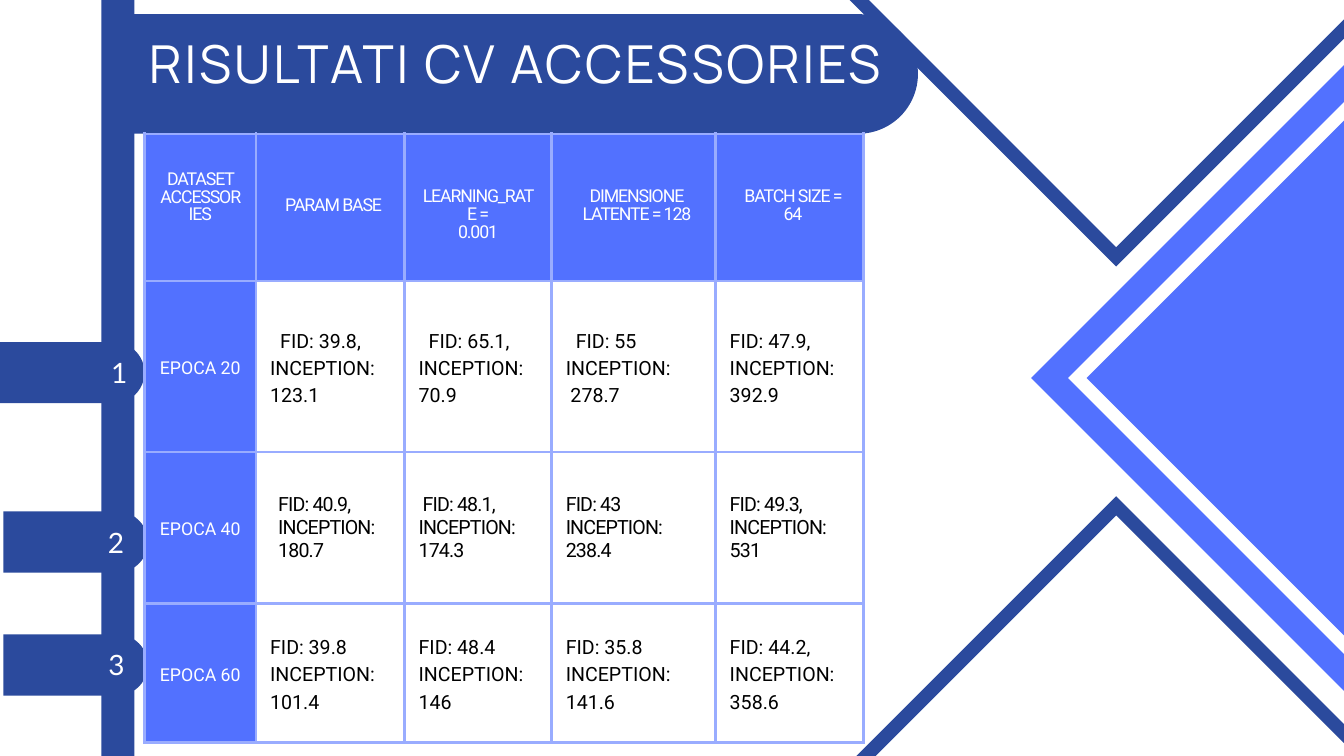
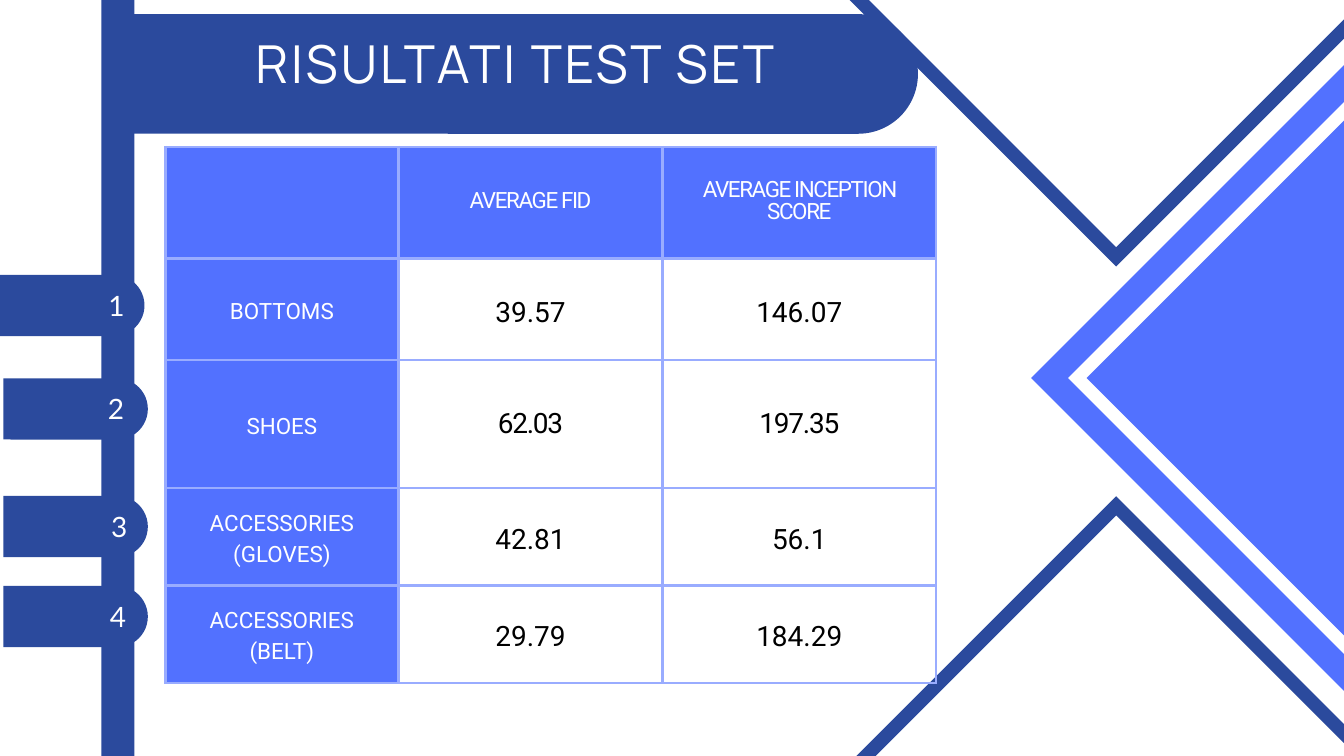
from dataclasses import dataclass

from lxml import etree
from pptx import Presentation
from pptx import util as u
from pptx.dml.color import RGBColor
from pptx.enum import shapes, text
from pptx.oxml import ns


@dataclass(frozen=True)
class Theme:
    navy: str = "2B4A9D"
    blue: str = "5271FF"
    edge: str = "99ACFF"
    white: str = "FFFFFF"
    black: str = "000000"
    title_font: str = "Manrope"
    table_font: str = "Roboto"
    number_font: str = "Lato"
    title_size: int = 56
    number_size: int = 30
    edge_width: int = 3
    cell_margin: float = 0.21


THEME = Theme()
WIDTH, HEIGHT = 20, 11.25
TAB_WIDTH, TAB_HEIGHT = 2.15, 0.91
TIGHT_ROW = 2

PAGES = [
    {
        "title": "RISULTATI CV ACCESSORIES",
        "tabs": [(0, 5.09, 1.51), (0.05, 7.61, 1.46), (0.05, 9.44, 1.47)],
        "corner": (2.15, 1.99),
        "columns": [1.66, 2.21, 2.19, 2.44, 2.2],
        "rows": [2.19, 2.55, 2.25, 2.07],
        "label_size": 19,
        "value_size": 21,
        "value_align": text.PP_ALIGN.LEFT,
        "cells": [
            [["DATASET ACCESSORIES"], ["PARAM BASE"], ["LEARNING_RATE =", "0.001"],
             ["DIMENSIONE", "LATENTE = 128"], ["BATCH SIZE = 64"]],
            [["EPOCA 20"], [("FID: 39.8,", 0.15), "INCEPTION: 123.1"],
             [("FID: 65.1, INCEPTION: 70.9", 0.15)],
             [("FID: 55 INCEPTION:", 0.15), ("278.7", 0.07)],
             ["FID: 47.9,", "INCEPTION: 392.9"]],
            [["EPOCA 40"], [("FID: 40.9,", 0.12), ("INCEPTION:", 0.12), ("180.7", 0.12)],
             [("FID: 48.1, INCEPTION: 174.3", 0.06)], ["FID: 43 INCEPTION: 238.4"],
             ["FID: 49.3,", "INCEPTION: 531"]],
            [["EPOCA 60"], ["FID: 39.8", "INCEPTION: 101.4"], ["FID: 48.4", "INCEPTION: 146"],
             ["FID: 35.8", "INCEPTION:", "141.6"], ["FID: 44.2, INCEPTION: 358.6"]],
        ],
        "extra_margins": {
            (0, 0): {"bottom": 0.26},
            (0, 1): {"left": 0.1},
            (0, 2): {"top": 0.26},
            (0, 3): {"left": 0.1},
            (0, 4): {"left": 0.1},
        },
    },
    {
        "title": "RISULTATI TEST SET",
        "tabs": [(0, 4.09, 1.47), (0.05, 5.63, 1.46), (0.05, 7.38, 1.51), (0.05, 8.72, 1.49)],
        "corner": (2.46, 2.19),
        "columns": [3.47, 3.93, 4.07],
        "rows": [1.66, 1.51, 1.9, 1.45, 1.45],
        "label_size": 24,
        "value_size": 30,
        "value_align": text.PP_ALIGN.CENTER,
        "cells": [
            [[], ["AVERAGE FID"], ["AVERAGE INCEPTION SCORE"]],
            [["BOTTOMS"], ["39.57"], ["146.07"]],
            [["SHOES"], ["62.03"], ["197.35"]],
            [["ACCESSORIES", "(GLOVES)"], ["42.81"], ["56.1"]],
            [["ACCESSORIES", "(BELT)"], ["29.79"], ["184.29"]],
        ],
        "extra_margins": {},
    },
]


def color(value):
    return RGBColor.from_string(value)


def inches(*lengths):
    return [u.Inches(length) for length in lengths]


def write(frame, lines, *, font, size, ink, leading=1.4, tracking=0, align=text.PP_ALIGN.CENTER):
    frame.word_wrap = True
    for index, line in enumerate(lines):
        words, indent = line if isinstance(line, tuple) else (line, 0)
        para = frame.paragraphs[0] if index == 0 else frame.add_paragraph()
        para.alignment = align
        para.line_spacing = u.Pt(round(size * leading, 1))
        para.space_before = para.space_after = u.Pt(0)
        if indent:
            para._p.get_or_add_pPr().set("indent", str(u.Inches(indent)))
        span = para.add_run()
        span.text = words
        span.font.name = font
        span.font.size = u.Pt(size)
        span.font.bold = False
        span.font.color.rgb = color(ink)
        span._r.get_or_add_rPr().set("spc", str(round(size * tracking, 1) * 100 // 1).split(".")[0])


def clear_margins(frame):
    frame.margin_left = frame.margin_right = frame.margin_top = frame.margin_bottom = 0
    frame.vertical_anchor = text.MSO_ANCHOR.TOP


def add_block(page, kind, left, top, width, height, fill, rotation=0, adjustments=()):
    block = page.shapes.add_shape(kind, *inches(left, top, width, height))
    block.rotation = rotation
    block.shadow.inherit = False
    block.fill.solid()
    block.fill.fore_color.rgb = color(fill)
    block.line.fill.background()
    for index, value in enumerate(adjustments):
        block.adjustments[index] = value
    return block


def add_tab(page, left, top, width, height):
    add_block(page, shapes.MSO_SHAPE.ROUND_2_SAME_RECTANGLE,
              left + (width - height) / 2, top + (height - width) / 2, height, width,
              THEME.navy, 270, (0, 0.5))


def add_square(page, kind, center_x, center_y, side, fill, rotation=45, adjustments=()):
    add_block(page, kind, center_x - side / 2, center_y - side / 2, side, side,
              fill, rotation, adjustments)


def add_backdrop(page):
    rectangle, frame = shapes.MSO_SHAPE.RECTANGLE, shapes.MSO_SHAPE.FRAME
    add_block(page, rectangle, 1.51, 0, 0.49, HEIGHT, THEME.navy)
    add_square(page, rectangle, 20.42, HEIGHT / 2, 7.18, THEME.blue, 315)
    add_square(page, frame, 20.42, HEIGHT / 2, 6.4, THEME.white, adjustments=(0.03,))
    for center_y in (12.15, -0.8):
        add_square(page, frame, 16.61, center_y, 6.74, THEME.navy, adjustments=(0.03,))
    add_tab(page, 1.99, 0.21, 11.67, 1.78)


def add_title(page, words):
    box = page.shapes.title
    box.left, box.top, box.width, box.height = inches(1.72, 0.58, 11.89, 0.9)
    box.element.getparent().append(box.element)
    box.text_frame.auto_size = text.MSO_AUTO_SIZE.NONE
    clear_margins(box.text_frame)
    write(box.text_frame, [words], font=THEME.title_font, size=THEME.title_size,
          ink=THEME.white, leading=1.05, tracking=0.05)


def add_numbers(page, tabs):
    for number, (left, top, text_left) in enumerate(tabs, 1):
        add_tab(page, left, top, TAB_WIDTH, TAB_HEIGHT)
        box = page.shapes.add_textbox(*inches(text_left, top + 0.12, 0.53, 0.57))
        clear_margins(box.text_frame)
        write(box.text_frame, [str(number)], font=THEME.number_font, size=THEME.number_size,
              ink=THEME.white, tracking=0.1)


def add_borders(cell):
    properties = cell._tc.get_or_add_tcPr()
    for index, side in enumerate(("a:lnL", "a:lnR", "a:lnT", "a:lnB")):
        line = etree.Element(ns.qn(side), w=str(u.Pt(THEME.edge_width)))
        fill = etree.SubElement(line, ns.qn("a:solidFill"))
        etree.SubElement(fill, ns.qn("a:srgbClr"), val=THEME.edge)
        properties.insert(index, line)


def cell_format(content, row, column):
    if row == 0 or column == 0:
        style = {"size": content["label_size"], "ink": THEME.white}
        if row == 0:
            style.update(leading=1, tracking=-0.0625)
    else:
        style = {"size": content["value_size"], "ink": THEME.black,
                 "align": content["value_align"]}
        if row == TIGHT_ROW:
            style.update(leading=1.17, tracking=-0.043)
    return style


def add_results(page, content):
    columns, rows = content["columns"], content["rows"]
    table = page.shapes.add_table(
        len(rows), len(columns),
        *inches(*content["corner"], sum(columns), sum(rows))).table
    table.first_row = table.horz_banding = False
    for column, width in enumerate(columns):
        table.columns[column].width = u.Inches(width)
    for row, height in enumerate(rows):
        table.rows[row].height = u.Inches(height)
        for column, lines in enumerate(content["cells"][row]):
            cell = table.cell(row, column)
            extra = content["extra_margins"].get((row, column), {})
            for side in ("left", "right", "top", "bottom"):
                setattr(cell, f"margin_{side}", u.Inches(THEME.cell_margin + extra.get(side, 0)))
            cell.vertical_anchor = text.MSO_ANCHOR.MIDDLE
            if row == 0 or column == 0:
                cell.fill.solid()
                cell.fill.fore_color.rgb = color(THEME.blue)
            else:
                cell.fill.background()
            add_borders(cell)
            write(cell.text_frame, lines, font=THEME.table_font,
                  **cell_format(content, row, column))


def main():
    deck = Presentation()
    deck.slide_width, deck.slide_height = inches(WIDTH, HEIGHT)
    for content in PAGES:
        page = deck.slides.add_slide(deck.slide_layouts[5])
        add_backdrop(page)
        add_numbers(page, content["tabs"])
        add_results(page, content)
        add_title(page, content["title"])
    deck.save("out.pptx")


if __name__ == "__main__":
    main()
